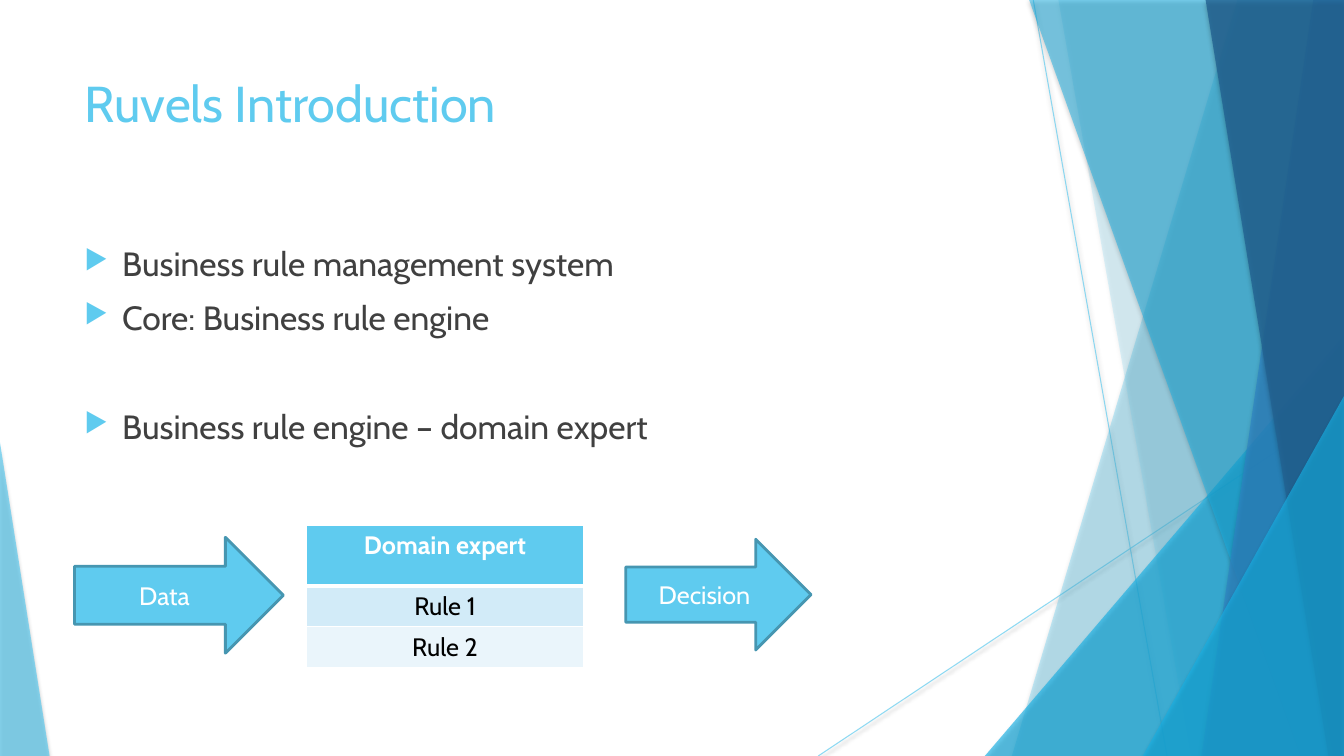
"""Build the Ruvels introduction slide with its data, rules and decision flow."""
from lxml.etree import SubElement
from pptx import Presentation
from pptx.dml.color import RGBColor
from pptx.enum.shapes import MSO_CONNECTOR, MSO_SHAPE
from pptx.enum.text import MSO_ANCHOR, PP_ALIGN
from pptx.oxml import parse_xml
from pptx.oxml.ns import nsdecls, qn
from pptx.util import Cm, Pt

HUES = {
    "sky": "5FCBEF", "cyan": "17B0E4", "blue": "2E83C3", "navy": "226292",
    "edge": "4696B1", "text": "404040", "white": "FFFFFF", "black": "000000",
    "pale": "D2EBF8", "faint": "EAF5FB",
}
WIDE, HIGH, TOP = 33.87, 19.05, -0.02


def soften(shape, alpha, dark, blur, gap):
    """Make the shape's colour translucent and add a soft drop shadow."""
    props = shape._element.spPr
    for tint in props.iter(qn("a:srgbClr")):
        SubElement(tint, qn("a:alpha"), val=str(alpha * 1000))
    props.append(parse_xml(
        f'<a:effectLst {nsdecls("a")}><a:outerShdw blurRad="{Pt(blur)}" dist="{Pt(gap)}" '
        f'dir="5400000" rotWithShape="0"><a:srgbClr val="000000"><a:alpha val="{dark * 1000}"/>'
        '</a:srgbClr></a:outerShdw></a:effectLst>'))


def style(para, size, hue, bold=False):
    """Set the font of every run in a paragraph."""
    for run in para.runs:
        run.font.name = "Cabin"
        run.font.size = Pt(size)
        run.font.bold = bold
        run.font.color.rgb = RGBColor.from_string(HUES[hue])


deck = Presentation()
deck.slide_width, deck.slide_height = Cm(WIDE), Cm(HIGH)
slide = deck.slides.add_slide(deck.slide_layouts[6])
shapes = slide.shapes

for ends in [(26.04, 0, 29.41, HIGH), (WIDE, 10.24, 20.62, HIGH)]:
    line = shapes.add_connector(MSO_CONNECTOR.STRAIGHT, *map(Cm, ends))
    line.line.color.rgb = RGBColor.from_string(HUES["sky"])
    line.line.width = Pt(0.75)
    soften(line, 70, 38, 3.1, 1.6)

facets = [
    ("band", (31.19, 25.5), "sky", 36),
    ("band", (26.67, 30.02), "sky", 20),
    ("peak", (24.82, 8.46, 9.05, 1), "cyan", 66),
    ("band", (25.93, 32.79), "cyan", 50),
    ("band", (33.1, 30.28), "blue", 70),
    ("band", (30.38, 33.48), "navy", 80),
    ("peak", (28.8, 9.98, 5.07, 1), "cyan", 66),
    ("peak", (0, 11.15, 1.25, 0), "sky", 70),
]
for kind, place, hue, alpha in facets:
    if kind == "band":
        head, foot = place
        pen = shapes.build_freeform(Cm(head), Cm(TOP))
        pen.add_line_segments([(Cm(x), Cm(y)) for x, y in
                               [(WIDE, TOP), (WIDE, HIGH), (foot, HIGH)]])
        facet = pen.convert_to_shape()
    else:
        left, top, width, tip = place
        facet = shapes.add_shape(MSO_SHAPE.ISOSCELES_TRIANGLE, Cm(left), Cm(top),
                                 Cm(width), Cm(HIGH - top))
        facet.adjustments[0] = tip
    facet.fill.solid()
    facet.fill.fore_color.rgb = RGBColor.from_string(HUES[hue])
    facet.line.fill.background()
    soften(facet, alpha, 35, 3, 2)

title = shapes.add_textbox(Cm(1.88), Cm(1.7), Cm(23.88), Cm(3.66)).text_frame
title.word_wrap = True
title.text = "Ruvels Introduction"
style(title.paragraphs[0], 36, "sky")

body = shapes.add_textbox(Cm(1.88), Cm(6), Cm(23.88), Cm(5.97)).text_frame
body.word_wrap = True
points = [("Business rule management system", 10), ("Core: Business rule engine", 10),
          ("Business rule engine – domain expert", 49)]
body.text = "\n".join(text for text, gap in points)
for para, (text, gap) in zip(body.paragraphs, points):
    para.space_before = Pt(gap)
    style(para, 24, "text")
    props = para._p.get_or_add_pPr()
    props.set("marL", str(Cm(0.95)))
    props.set("indent", str(Cm(-0.95)))
    tint = SubElement(props, qn("a:buClr"))
    SubElement(tint, qn("a:srgbClr"), val=HUES["sky"])
    SubElement(props, qn("a:buSzPct"), val="80000")
    SubElement(props, qn("a:buChar"), char="▶")

for text, *place in [("Data", 1.88, 13.54, 5.26, 2.92), ("Decision", 15.77, 13.59, 4.67, 2.79)]:
    arrow = shapes.add_shape(MSO_SHAPE.RIGHT_ARROW, *map(Cm, place))
    arrow.shadow.inherit = False
    arrow.fill.solid()
    arrow.fill.fore_color.rgb = RGBColor.from_string(HUES["sky"])
    arrow.line.color.rgb = RGBColor.from_string(HUES["edge"])
    arrow.line.width = Pt(2)
    arrow.text_frame.text = text
    arrow.text_frame.vertical_anchor = MSO_ANCHOR.MIDDLE
    arrow.text_frame.paragraphs[0].alignment = PP_ALIGN.CENTER
    style(arrow.text_frame.paragraphs[0], 18, "white")

rules = [("Domain expert", 1.52, "sky", "white", 0.96, 3),
         ("Rule 1", 1.03, "pale", "black", 3, 0.96),
         ("Rule 2", 1.03, "faint", "black", 0.96, 0.96)]
table = shapes.add_table(len(rules), 1, Cm(7.72), Cm(13.24), Cm(6.99), Cm(3.58)).table
for row, (text, height, fill, hue, above, below) in enumerate(rules):
    table.rows[row].height = Cm(height)
    cell = table.cell(row, 0)
    cell.text_frame.text = text
    cell.text_frame.paragraphs[0].alignment = PP_ALIGN.CENTER
    style(cell.text_frame.paragraphs[0], 18, hue, bold=row == 0)
    cell.fill.solid()
    cell.fill.fore_color.rgb = RGBColor.from_string(HUES[fill])
    sides = [("L", 0.96), ("R", 0.96), ("T", above), ("B", below)]
    for rank, (side, width) in enumerate(sides):
        cell._tc.get_or_add_tcPr().insert(rank, parse_xml(
            f'<a:ln{side} {nsdecls("a")} w="{Pt(width)}"><a:solidFill>'
            f'<a:srgbClr val="{HUES["white"]}"/></a:solidFill></a:ln{side}>'))

deck.save("out.pptx")
